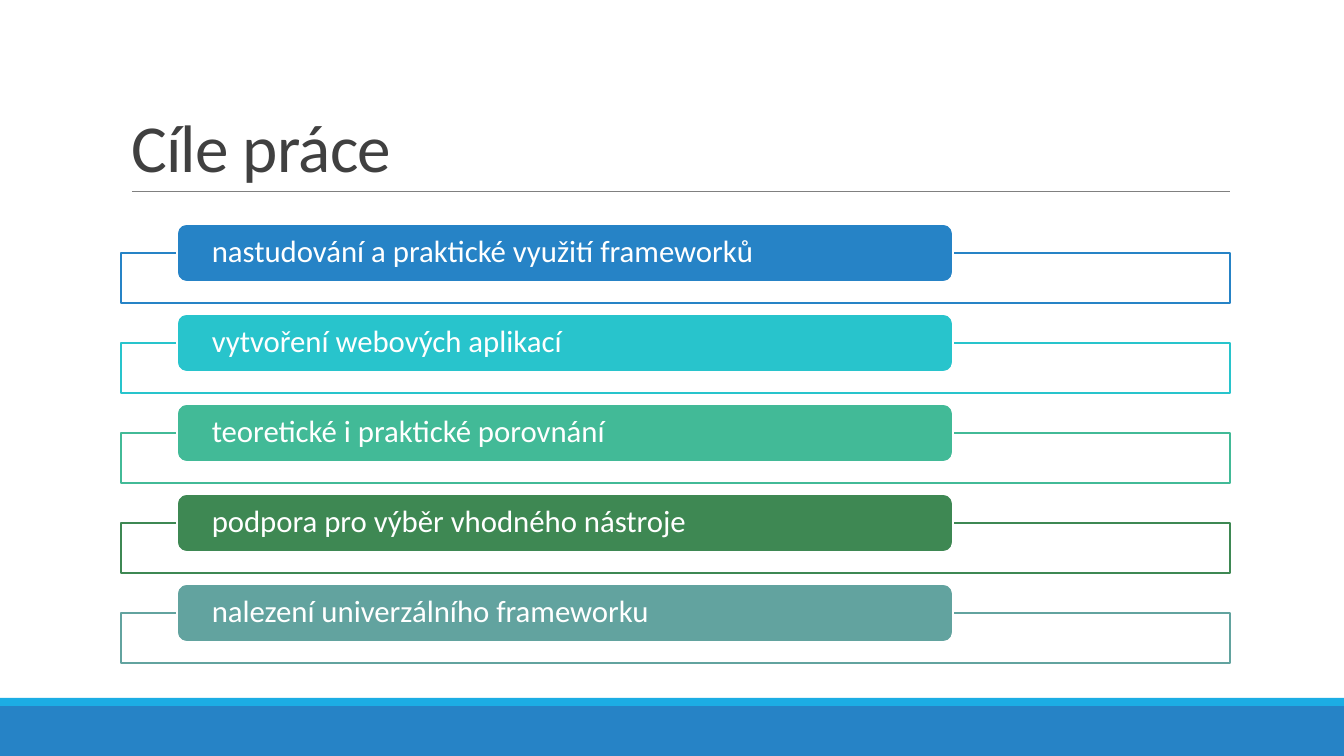
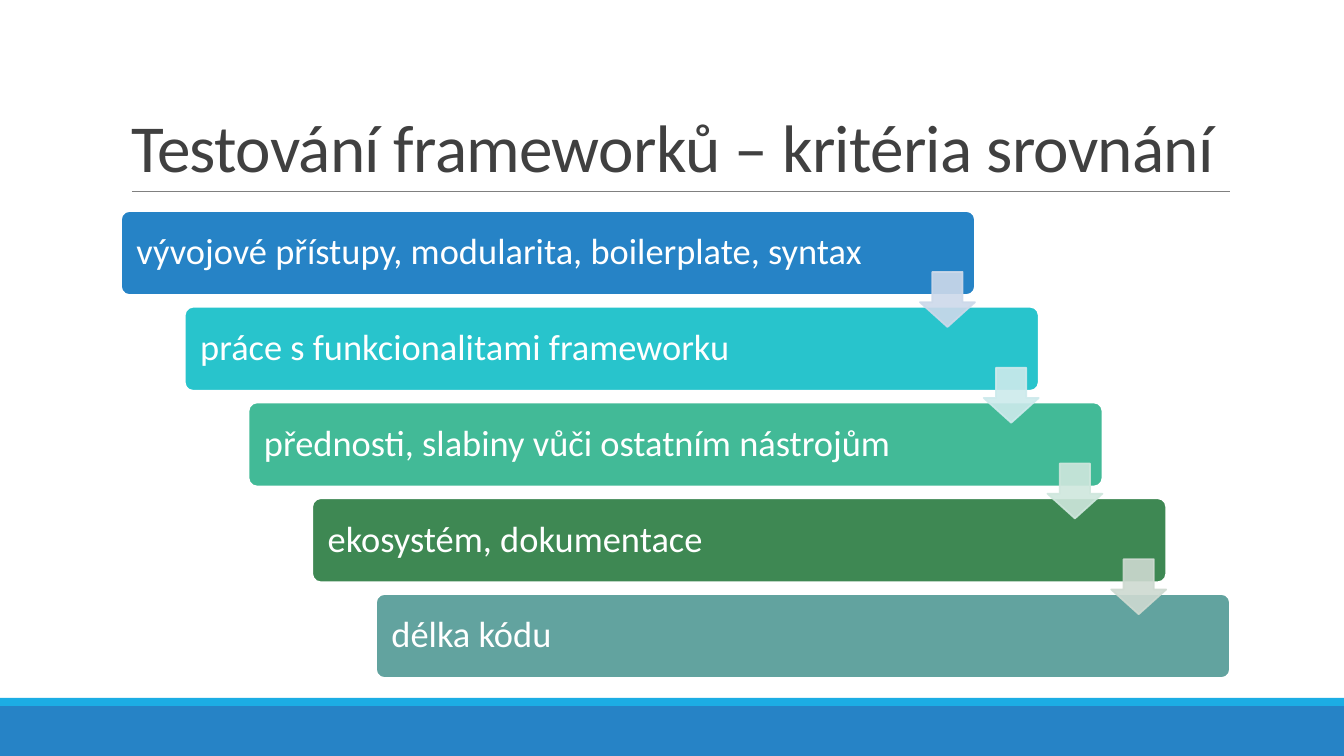
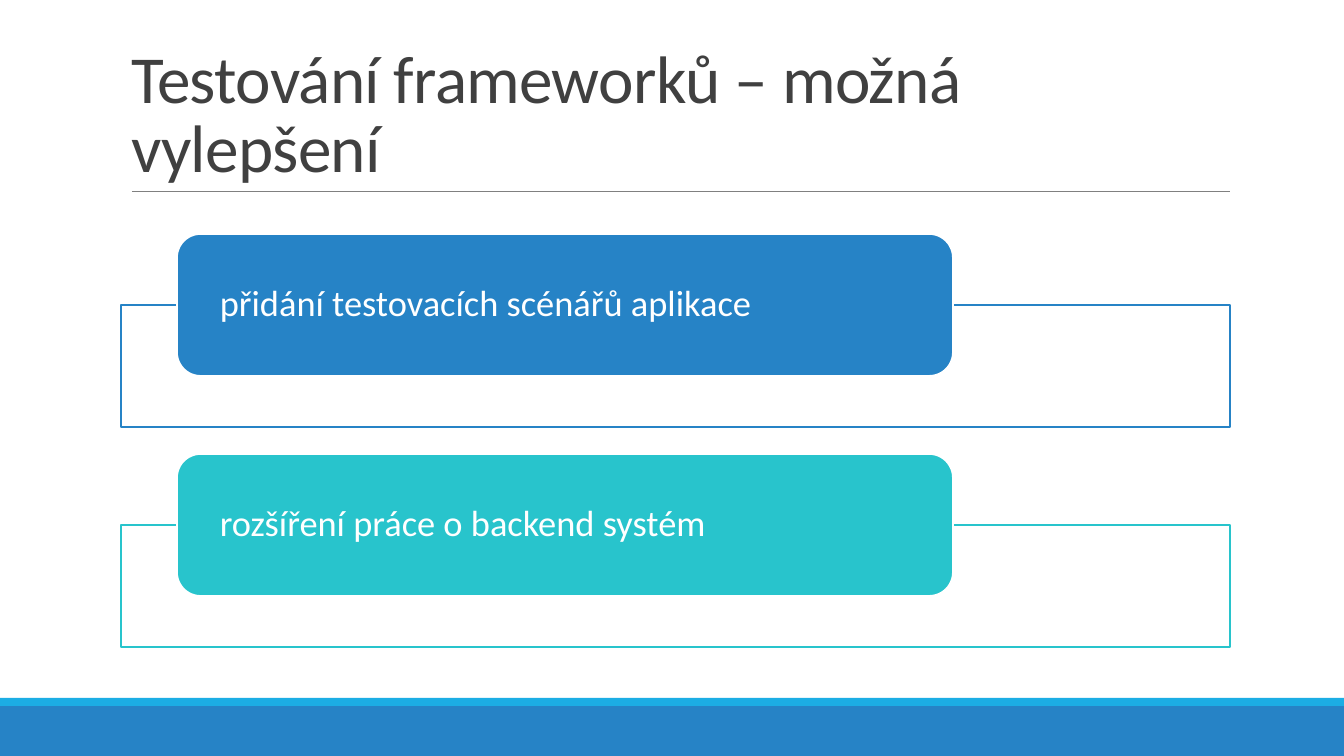
from lxml.etree import SubElement
from pptx import Presentation
from pptx.dml.color import RGBColor
from pptx.enum.shapes import MSO_CONNECTOR, MSO_SHAPE
from pptx.enum.text import MSO_ANCHOR, MSO_AUTO_SIZE, PP_ALIGN
from pptx.oxml.ns import qn
from pptx.util import Inches, Pt

FONT = "Calibri"
WHITE, TITLE_GREY, RULE_GREY = "FFFFFF", "404040", "808080"
BLUE, SKY = "2683C6", "1CADE4"
ACCENTS = [BLUE, "28C4CC", "42BA97", "3E8853", "62A39F"]
ARROWS = ["CDD9EA", "CDEAEC", "CFE7DD", "CEDAD1"]

# Content column shared by every slide
LEFT, WIDTH = 121, 1109


def px(length):
    return round(length * Inches(1) / 100.8)


def rgb(hex_colour):
    return RGBColor.from_string(hex_colour)


class SlideBuilder:
    def __init__(self):
        self.deck = Presentation()
        self.deck.slide_width, self.deck.slide_height = px(1344), px(756)
        self.layout = self.deck.slide_layouts.get_by_name("Title Only")
        self.slide = None

    def add_slide(self, title):
        first = self.slide is None
        self.slide = self.deck.slides.add_slide(self.layout)
        if first:
            self.add_frame()
        self.title(title)

    def add_frame(self):
        """Draw the bands and title rule, then hand them to the layout."""
        frame = [
            self.shape(MSO_SHAPE.RECTANGLE, 0, 706, 1344, 50, BLUE),
            self.shape(MSO_SHAPE.RECTANGLE, 0, 698, 1344, 8, SKY),
            self.rule(132, 191, 1230, 191),
        ]
        for item in frame:
            self.layout.shapes.element.append(item.element)

    def title(self, text):
        box = self.slide.shapes.title
        box.left, box.top, box.width, box.height = px(LEFT), px(31), px(WIDTH), px(160)
        box.text_frame.auto_size = MSO_AUTO_SIZE.NONE
        self.set_text(box, text, 48, TITLE_GREY, 0.85, MSO_ANCHOR.BOTTOM)
        for span in box.element.iter(qn("a:r")):
            span.get_or_add_rPr().set("spc", "-50")

    def set_text(self, box, text, size, colour, spacing, anchor):
        frame = box.text_frame
        frame.text = text
        frame.word_wrap = True
        frame.vertical_anchor = anchor
        para = frame.paragraphs[0]
        para.alignment = PP_ALIGN.LEFT
        para.line_spacing = spacing
        para.font.name, para.font.size = FONT, Pt(size)
        para.font.color.rgb = rgb(colour)

    def shape(self, kind, left, top, width, height, fill, line=None,
              adjustments=(), opacity=100):
        shape = self.slide.shapes.add_shape(kind, px(left), px(top), px(width), px(height))
        shape.shadow.inherit = False
        for index, value in enumerate(adjustments):
            shape.adjustments[index] = value
        shape.fill.solid()
        shape.fill.fore_color.rgb = rgb(fill)
        if line:
            shape.line.color.rgb = rgb(line)
            shape.line.width = Pt(1.25)
        else:
            shape.line.fill.background()
        if opacity < 100:
            for colour in shape.element.spPr.iter(qn("a:srgbClr")):
                SubElement(colour, qn("a:alpha")).set("val", str(opacity * 1000))
        return shape

    def rule(self, x1, y1, x2, y2):
        line = self.slide.shapes.add_connector(
            MSO_CONNECTOR.STRAIGHT, px(x1), px(y1), px(x2), px(y2))
        line.line.color.rgb = rgb(RULE_GREY)
        line.line.width = Pt(0.5)
        SubElement(line.element.spPr, qn("a:effectLst"))
        return line

    def label(self, left, top, width, height, text, size, fill, insets, adjustments=()):
        box = self.shape(MSO_SHAPE.ROUNDED_RECTANGLE, left, top, width, height,
                         fill, WHITE, adjustments)
        self.set_text(box, text, size, WHITE, 0.9, MSO_ANCHOR.MIDDLE)
        frame = box.text_frame
        frame.margin_left, frame.margin_right = (px(inset) for inset in insets)
        frame.margin_top = frame.margin_bottom = 0

    def tab_list(self, texts, top, pitch, tab_height, outline_height, size, inset):
        """Outlined rows, each with a coloured tab centred on its upper edge."""
        for row, (text, colour) in enumerate(zip(texts, ACCENTS)):
            tab_top = top + row * pitch
            self.shape(MSO_SHAPE.RECTANGLE, LEFT, tab_top + tab_height // 2,
                       WIDTH, outline_height, WHITE, colour)
            self.label(177, tab_top, 776, tab_height, text, size, colour, (inset, inset))

    def staircase(self, texts):
        """Steps spread evenly over the column, with an arrow between neighbours."""
        step_width, step_height, top, bottom = 854, 84, 211, 678
        gaps = len(texts) - 1
        places = [(LEFT + step * (WIDTH - step_width) / gaps,
                   top + step * (bottom - top - step_height) / gaps)
                  for step in range(len(texts))]
        for (left, y), text, colour in zip(places, texts, ACCENTS):
            self.label(left, y, step_width, step_height, text, 26, colour,
                       (13, 100), [0.1])
        arrow = 55
        for (left, y), colour in zip(places, ARROWS):
            self.shape(MSO_SHAPE.DOWN_ARROW, left + step_width - arrow, y + 61,
                       arrow, arrow, colour, colour, [0.55, 0.45], opacity=90)


def main():
    builder = SlideBuilder()

    # Goals
    builder.add_slide("Cíle práce")
    builder.tab_list([
        "nastudování a praktické využití frameworků",
        "vytvoření webových aplikací",
        "teoretické i praktické porovnání",
        "podpora pro výběr vhodného nástroje",
        "nalezení univerzálního frameworku",
    ], top=224, pitch=90, tab_height=58, outline_height=50, size=22, inset=32)

    # Comparison criteria
    builder.add_slide("Testování frameworků – kritéria srovnání")
    builder.staircase([
        "vývojové přístupy, modularita, boilerplate, syntax",
        "práce s funkcionalitami frameworku",
        "přednosti, slabiny vůči ostatním nástrojům",
        "ekosystém, dokumentace",
        "délka kódu",
    ])

    # Possible improvements
    builder.add_slide("Testování frameworků – možná vylepšení")
    builder.tab_list([
        "přidání testovacích scénářů aplikace",
        "rozšíření práce o backend systém",
    ], top=234, pitch=220, tab_height=142, outline_height=122, size=26, inset=36)

    builder.deck.save("out.pptx")


if __name__ == "__main__":
    main()
